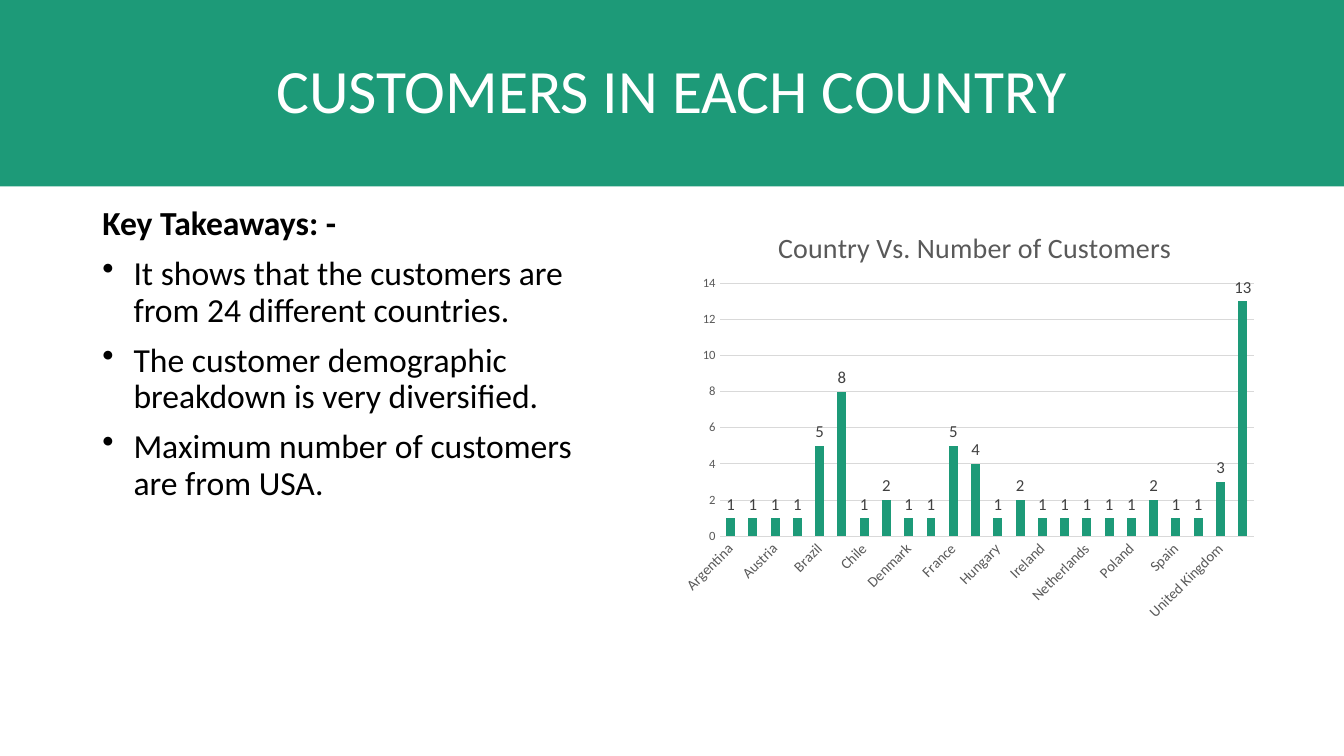
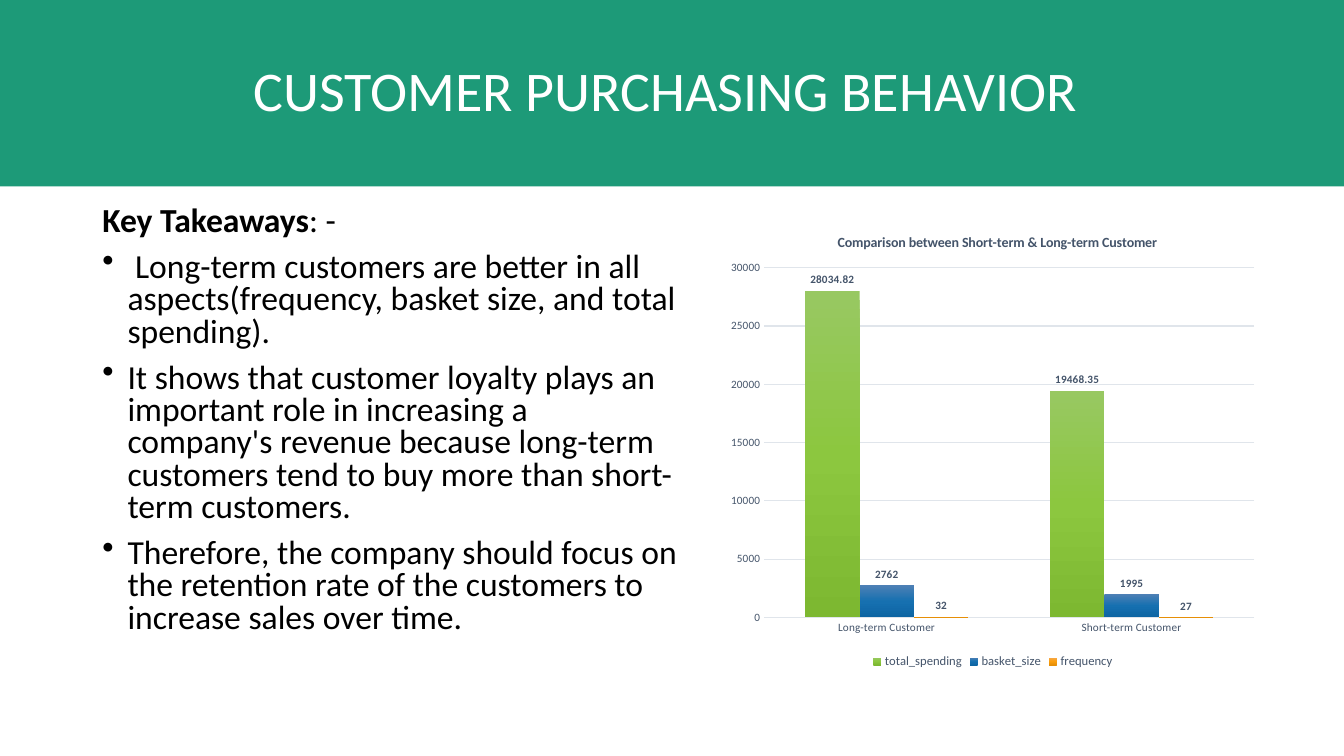
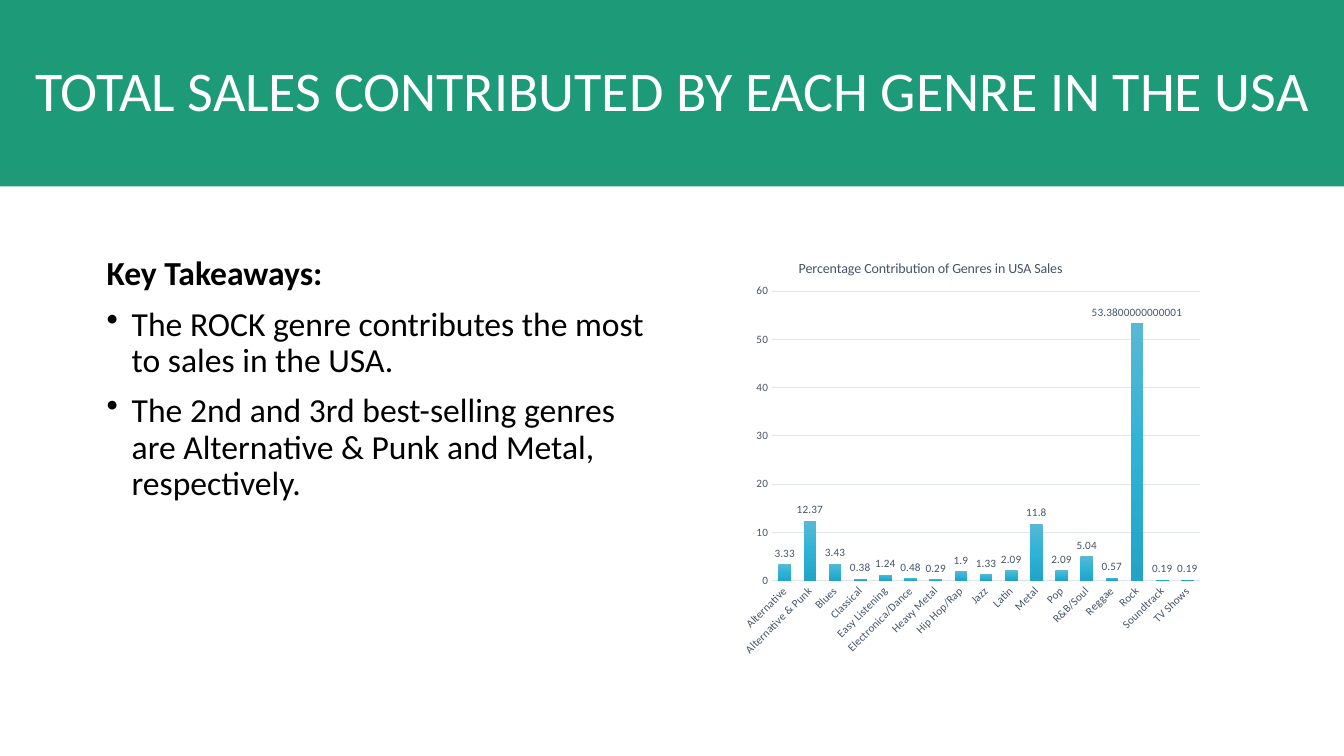
from copy import deepcopy

from pptx import Presentation
from pptx import util as u
from pptx.chart.data import CategoryChartData
from pptx.dml.color import RGBColor
from pptx.enum import chart as charts, shapes, text
from pptx.oxml import ns, xmlchemy

COLOURS = {
    "band": "1D9A78", "title": "FFFFFF", "body": "000000",
    "grey": "595959", "grey_label": "404040", "grey_grid": "D9D9D9",
    "slate": "44546A", "slate_grid": "E0E5EB",
}
GREEN = ("98C862", "8CC73F", "7DB831")
BLUE = ("4E80B5", "1670B0", "0D65A3")
ORANGE = ("F5A84E", "FC9F0E", "E58F07")
CYAN = ("59B8D4", "2EB3D6", "21A4C6")

CUSTOMERS = {
    "Argentina": 1, "Australia": 1, "Austria": 1, "Belgium": 1, "Brazil": 5,
    "Canada": 8, "Chile": 1, "Czech Republic": 2, "Denmark": 1, "Finland": 1,
    "France": 5, "Germany": 4, "Hungary": 1, "India": 2, "Ireland": 1,
    "Italy": 1, "Netherlands": 1, "Norway": 1, "Poland": 1, "Portugal": 2,
    "Spain": 1, "Sweden": 1, "United Kingdom": 3, "USA": 13,
}
GENRES = {
    "Alternative": 3.33, "Alternative & Punk": 12.37, "Blues": 3.43,
    "Classical": 0.38, "Easy Listening": 1.24, "Electronica/Dance": 0.48,
    "Heavy Metal": 0.29, "Hip Hop/Rap": 1.9, "Jazz": 1.33, "Latin": 2.09,
    "Metal": 11.8, "Pop": 2.09, "R&B/Soul": 5.04, "Reggae": 0.57,
    "Rock": 53.3800000000001, "Soundtrack": 0.19, "TV Shows": 0.19,
}


def rgb(name):
    return RGBColor.from_string(COLOURS.get(name, name))


class Deck:
    """Style and current slide of a deck laid out on a 160 by 90 grid."""

    font = "Calibri"
    columns, rows = 160, 90

    def __init__(self):
        self.deck = Presentation()
        self.deck.slide_width = u.Inches(13.333)
        self.deck.slide_height = u.Inches(7.5)

    def place(self, left, top, width, height):
        column = self.deck.slide_width / self.columns
        row = self.deck.slide_height / self.rows
        return [u.Emu(round(n)) for n in
                (left * column, top * row, width * column, height * row)]

    def style(self, font, size, colour, bold=False):
        font.name, font.size, font.bold = self.font, u.Pt(size), bold
        font.color.rgb = rgb(colour)

    def page(self, title, size=40):
        self.slide = self.deck.slides.add_slide(self.deck.slide_layouts[6])
        band = self.slide.shapes.add_shape(
            shapes.MSO_SHAPE.RECTANGLE, *self.place(0, 0, self.columns, 22.2))
        band.shadow.inherit = False
        band.fill.solid()
        band.fill.fore_color.rgb = rgb("band")
        band.line.fill.background()
        frame = band.text_frame
        frame.text = title
        frame.vertical_anchor = text.MSO_ANCHOR.MIDDLE
        para = frame.paragraphs[0]
        para.alignment = text.PP_ALIGN.CENTER
        para.line_spacing = 0.9
        self.style(para.runs[0].font, size, "title")

    def takeaways(self, at, ending, points, indent=0.25, spacing=0.9):
        box = self.slide.shapes.add_textbox(*self.place(*at))
        frame = box.text_frame
        frame.word_wrap = True
        head = frame.paragraphs[0]
        head.line_spacing = spacing
        for words, bold in (("Key Takeaways", True), ending):
            span = head.add_run()
            span.text = words
            self.style(span.font, 24, "body", bold)
        for point in points:
            para = frame.add_paragraph()
            para.text = point
            props = para._p.get_or_add_pPr()
            props.set("marL", str(u.Inches(indent)))
            props.set("indent", str(-u.Inches(indent)))
            bullet = xmlchemy.OxmlElement("a:buChar")
            bullet.set("char", "•")
            props.append(bullet)
            para.line_spacing = spacing
            para.space_before = u.Pt(10)
            self.style(para.runs[0].font, 24, "body")

    def arrange(self, holder, index, **shares):
        old = holder.find(ns.qn("c:layout"))
        if old is not None:
            holder.remove(old)
        layout = xmlchemy.OxmlElement("c:layout")
        manual = xmlchemy.OxmlElement("c:manualLayout")
        layout.append(manual)
        modes = {"xMode": "edge", "yMode": "edge"}
        if "w" in shares:
            modes = {"layoutTarget": "inner", **modes}
        for tag, value in {**modes, **shares}.items():
            item = xmlchemy.OxmlElement("c:" + tag)
            item.set("val", str(value))
            manual.append(item)
        holder.insert(index, layout)

    def paint(self, series, colours):
        fill = series.format.fill
        if len(colours) == 1:
            fill.solid()
            fill.fore_color.rgb = rgb(colours[0])
            return
        fill.gradient()
        fill.gradient_angle = 270
        stops = series._element.find(".//" + ns.qn("a:gsLst"))
        stops.append(deepcopy(stops[0]))
        for stop, position, colour in zip(fill.gradient_stops, (0, 0.5, 1), colours):
            stop.position = position
            stop.color.rgb = rgb(colour)

    def chart(self, at, categories, series, title, title_at, plot_at, scale,
              title_size=10, title_bold=False, ink="slate", label_ink="slate",
              grid="slate_grid", sizes=(8, 8, 8), label_bold=False, gap=150,
              slanted=True, base_line=True, legend=False):
        data = CategoryChartData(number_format="General")
        data.categories = categories
        for name, values, _ in series:
            data.add_series(name, values)
        chart = self.slide.shapes.add_chart(
            charts.XL_CHART_TYPE.COLUMN_CLUSTERED, *self.place(*at), data).chart
        self.style(chart.font, 10, "body")
        category_size, value_size, label_size = sizes

        chart.has_title = True
        frame = chart.chart_title.text_frame
        frame.text = title
        self.style(frame.paragraphs[0].runs[0].font, title_size, ink, title_bold)
        self.arrange(chart.chart_title._element, 1, x=title_at[0], y=title_at[1])
        self.arrange(chart._chartSpace.chart.plotArea, 0,
                     x=0.08, y=plot_at[0], w=0.9, h=plot_at[1])

        for axis, size in ((chart.category_axis, category_size),
                           (chart.value_axis, value_size)):
            axis.major_tick_mark = axis.minor_tick_mark = charts.XL_TICK_MARK.NONE
            self.style(axis.tick_labels.font, size, ink)
            axis.format.line.fill.background()
        if base_line:
            self.rule(chart.category_axis.format.line, grid)
        if slanted:
            body = chart.category_axis._element.find(".//" + ns.qn("a:bodyPr"))
            body.set("rot", "-2700000")
            body.set("vert", "horz")
        axis = chart.value_axis
        axis.minimum_scale = 0
        axis.maximum_scale, axis.major_unit = scale
        axis.has_major_gridlines = True
        self.rule(axis.major_gridlines.format.line, grid)

        plot = chart.plots[0]
        plot.gap_width, plot.overlap = gap, 0
        plot.vary_by_categories = False
        for bars, (_, _, colours) in zip(plot.series, series):
            self.paint(bars, colours)
            labels = bars.data_labels
            labels.show_value = True
            labels.position = charts.XL_LABEL_POSITION.OUTSIDE_END
            self.style(labels.font, label_size, label_ink, label_bold)

        chart.has_legend = legend
        if legend:
            chart.legend.position = charts.XL_LEGEND_POSITION.BOTTOM
            chart.legend.include_in_layout = False
            self.style(chart.legend.font, 9, ink)

    def rule(self, line, colour):
        line.width = u.Pt(0.75)
        line.color.rgb = rgb(colour)


def main():
    show = Deck()

    show.page("CUSTOMERS IN EACH COUNTRY", 44)
    show.takeaways((11, 24, 64.1, 57.1), (": -", True), [
        "It shows that the customers are from 24 different countries.",
        "The customer demographic breakdown is very diversified.",
        "Maximum number of customers are from USA.",
    ], indent=0.31)
    show.chart((80, 24, 70.7, 51.1), list(CUSTOMERS),
               [("Series 1", list(CUSTOMERS.values()), ("band",))],
               "Country Vs. Number of Customers", (0.17, 0.05), (0.19, 0.59), (14, 2),
               title_size=20, ink="grey", label_ink="grey_label", grid="grey_grid",
               sizes=(10.5, 9, 12), base_line=False)

    show.page("CUSTOMER PURCHASING BEHAVIOR ")
    show.takeaways((11, 24, 70.9, 57.1), (": -", False), [
        " Long-term customers are better in all aspects(frequency, basket size, "
        "and total spending).",
        "It shows that customer loyalty plays an important role in increasing a "
        "company's revenue because long-term customers tend to buy more than "
        "short-term customers.",
        "Therefore, the company should focus on the retention rate of the "
        "customers to increase sales over time.",
    ], spacing=0.8)
    show.chart((85.8, 25.3, 64.8, 54.8), ["Long-term Customer", "Short-term Customer"],
               [("total_spending", (28034.82, 19468.35), GREEN),
                ("basket_size", (2762, 1995), BLUE),
                ("frequency", (32, 27), ORANGE)],
               "Comparison between Short-term & Long-term Customer",
               (0.21, 0.04), (0.12, 0.76), (30000, 5000),
               title_bold=True, label_bold=True, slanted=False, legend=True)

    show.page("TOTAL SALES CONTRIBUTED BY EACH GENRE IN THE USA")
    show.takeaways((11.5, 30, 68.5, 50.6), (":", True), [
        "The ROCK genre contributes the most to sales in the USA.",
        "The 2nd and 3rd best-selling genres are Alternative & Punk and Metal, "
        "respectively.",
    ])
    show.chart((87.4, 28, 56.6, 51.4), list(GENRES),
               [("Series 1", list(GENRES.values()), CYAN)],
               "Percentage Contribution of Genres in USA Sales",
               (0.13, 0.05), (0.13, 0.67), (60, 10), gap=100)

    show.deck.save("out.pptx")


if __name__ == "__main__":
    main()
